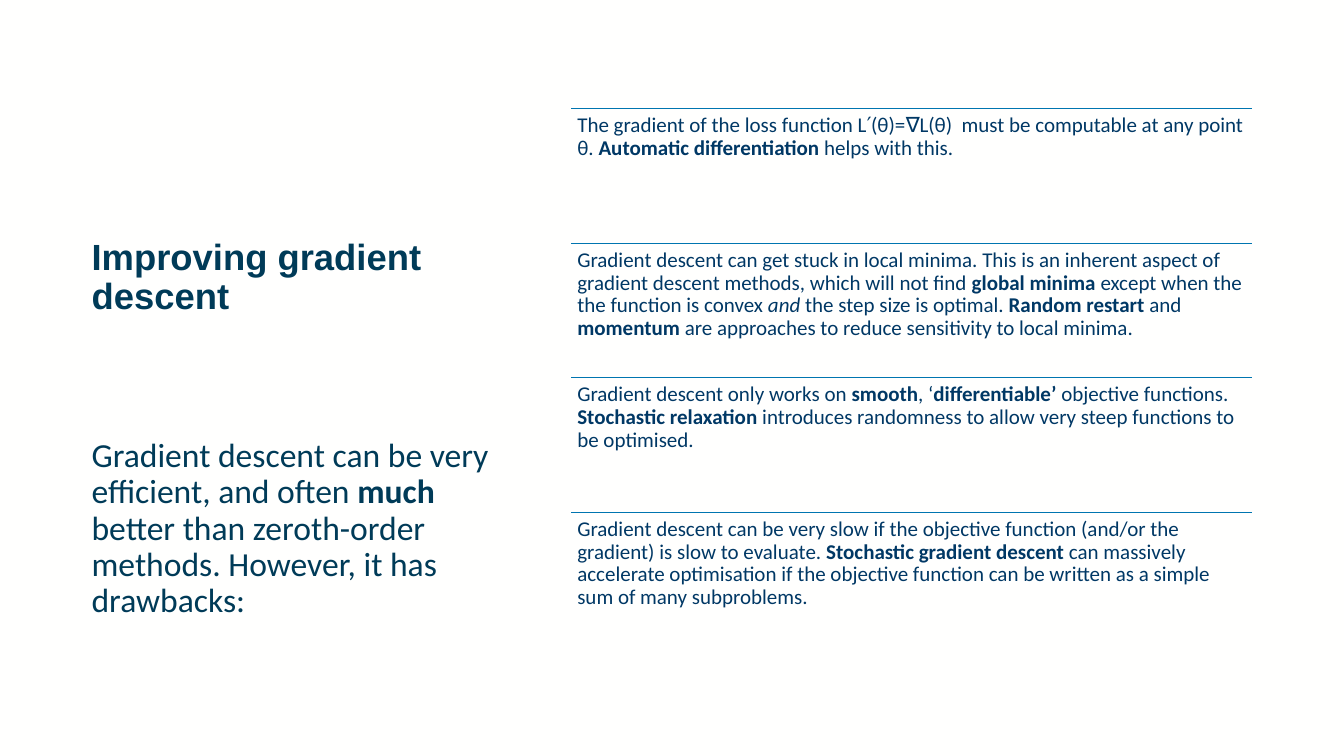
from lxml.etree import SubElement
from pptx import Presentation
from pptx.dml.color import RGBColor as RGB
from pptx.enum.shapes import MSO_CONNECTOR as Connector
from pptx.enum.text import MSO_ANCHOR as Anchor, PP_ALIGN as Align
from pptx.oxml.ns import qn
from pptx.util import Cm, Pt

COLOURS = {"paper": "FFFFFE", "heading": "003B58", "point": "003865", "rule": "0075B0"}

HEADING = [("Improving gradient descent", "b")]
INTRO = [
    ("Gradient descent can be very efficient, and often ", ""),
    ("much", "b"),
    (" better than zeroth-order methods. However, it has drawbacks:", ""),
]
DRAWBACKS = [
    [
        ("The gradient of the loss function L′(θ)=∇L(θ)  must be computable at any point θ. ", ""),
        ("Automatic differentiation", "b"),
        (" helps with this.", ""),
    ],
    [
        ("Gradient descent can get stuck in local minima. This is an inherent aspect of "
         "gradient descent methods, which will not find ", ""),
        ("global minima ", "b"),
        ("except when the the function is convex ", ""),
        ("and", "i"),
        (" the step size is optimal. ", ""),
        ("Random restart ", "b"),
        ("and ", ""),
        ("momentum", "b"),
        (" are approaches to reduce sensitivity to local minima.", ""),
    ],
    [
        ("Gradient descent only works on ", ""),
        ("smooth", "b"),
        (", ‘", ""),
        ("differentiable’", "b"),
        (" objective functions. ", ""),
        ("Stochastic relaxation", "b"),
        (" introduces randomness to allow very steep functions to be optimised.", ""),
    ],
    [
        ("Gradient descent can be very slow if the objective function (and/or the gradient) "
         "is slow to evaluate. ", ""),
        ("Stochastic gradient descent", "b"),
        (" can massively accelerate optimisation if the objective function can be written "
         "as a simple sum of many subproblems.", ""),
    ],
]


class SlideWriter:
    def __init__(self, slide, colours):
        self.slide = slide
        self.colours = {name: RGB.from_string(code) for name, code in colours.items()}
        backdrop = slide.background.fill
        backdrop.solid()
        backdrop.fore_color.rgb = self.colours["paper"]

    def text(self, left, top, width, height, runs, size, colour, font="Calibri", inset=(0.25, 0.13)):
        box = self.slide.shapes.add_textbox(Cm(left), Cm(top), Cm(width), Cm(height))
        frame = box.text_frame
        frame.word_wrap = True
        frame.vertical_anchor = Anchor.TOP
        frame.margin_left = frame.margin_right = Cm(inset[0])
        frame.margin_top = frame.margin_bottom = Cm(inset[1])
        paragraph = frame.paragraphs[0]
        paragraph.alignment = Align.LEFT
        paragraph.line_spacing = 0.9
        for words, style in runs:
            run = paragraph.add_run()
            run.text = words
            run.font.name = font
            run.font.size = Pt(size)
            run.font.color.rgb = self.colours[colour]
            run.font.bold = style == "b"
            run.font.italic = style == "i"

    def rule(self, left, top, width):
        line = self.slide.shapes.add_connector(
            Connector.STRAIGHT, Cm(left), Cm(top), Cm(left + width), Cm(top))
        line.line.color.rgb = self.colours["rule"]
        line.line.width = Pt(1)
        SubElement(line._element.spPr, qn("a:effectLst"))


def main():
    deck = Presentation()
    deck.slide_width, deck.slide_height = Cm(33.87), Cm(19.05)
    writer = SlideWriter(deck.slides.add_slide(deck.slide_layouts[6]), COLOURS)

    writer.text(2.06, 5.89, 11.2, 4.45, HEADING, 26, "heading", font="Arial")
    writer.text(2.06, 10.92, 11.22, 5.38, INTRO, 24, "heading")

    left, first_top, width, pitch = 14.4, 2.74, 17.15, 3.39
    for row, drawback in enumerate(DRAWBACKS):
        top = first_top + row * pitch
        writer.rule(left, top, width)
        writer.text(left, top, width, pitch, drawback, 15, "point", inset=(0.15, 0.15))

    deck.save("out.pptx")


if __name__ == "__main__":
    main()
